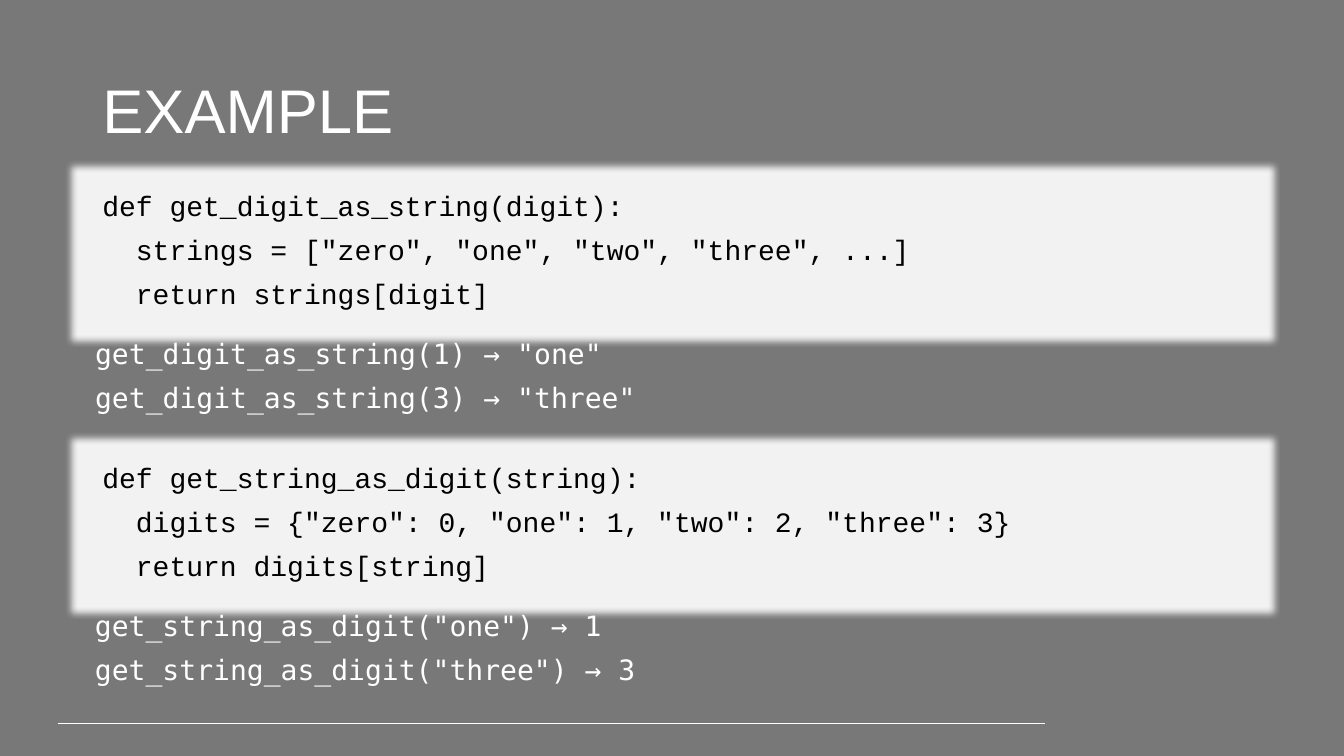
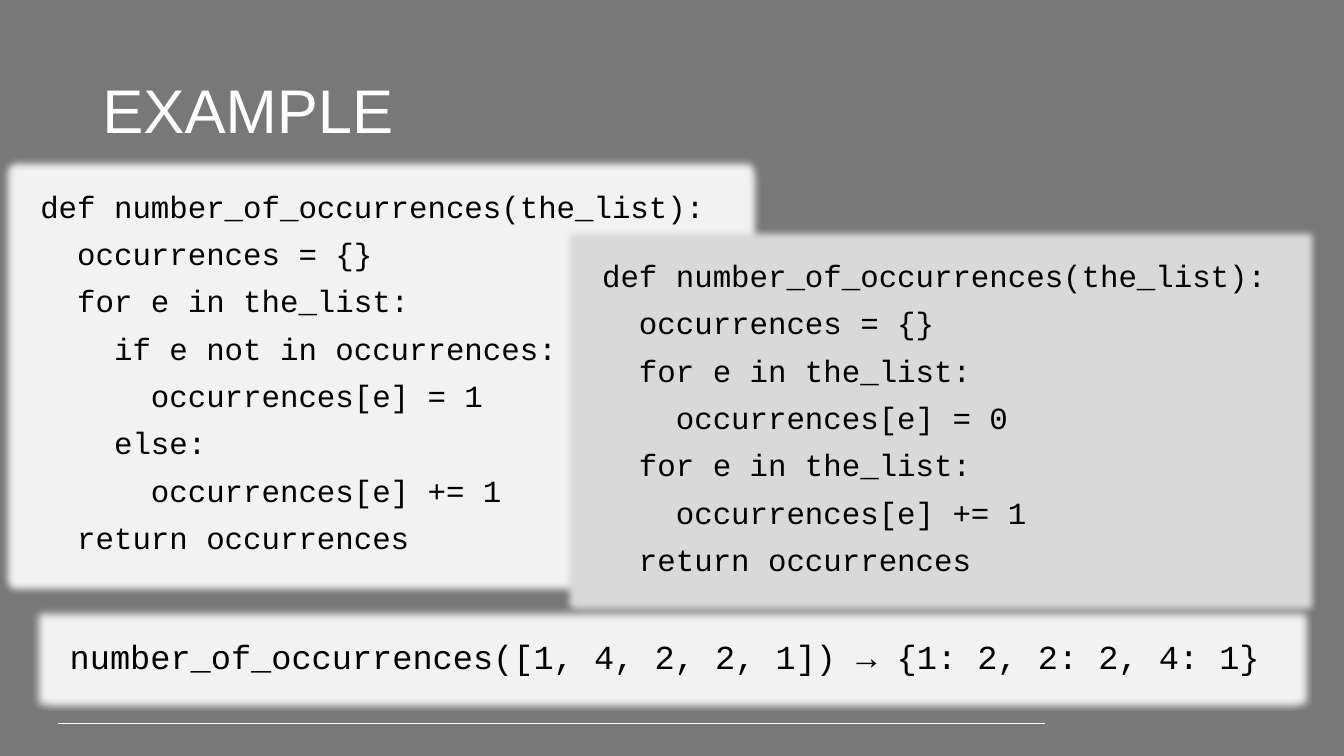
from lxml import etree
from pptx import Presentation
from pptx.dml.color import RGBColor
from pptx.enum.shapes import MSO_CONNECTOR, MSO_SHAPE
from pptx.enum.text import MSO_ANCHOR, MSO_AUTO_SIZE, PP_ALIGN
from pptx.oxml.ns import qn
from pptx.util import Pt

RECTANGLE = MSO_SHAPE.RECTANGLE
STRAIGHT = MSO_CONNECTOR.STRAIGHT
TOP, MIDDLE = MSO_ANCHOR.TOP, MSO_ANCHOR.MIDDLE
LEFT = PP_ALIGN.LEFT
FIXED, GROW = MSO_AUTO_SIZE.NONE, MSO_AUTO_SIZE.SHAPE_TO_FIT_TEXT

PX = 9525  # EMU in one px, 96 px to the inch
WIDTH, HEIGHT = 1280, 720
MARGIN = 88
CONTENT_WIDTH = WIDTH - 2 * MARGIN
CONTENT_TOP = 178
PANEL_HEIGHT = 125
RESULT_GAP = 16
RESULT_HEIGHT = 82
PAIR_HEIGHT = PANEL_HEIGHT + RESULT_GAP + RESULT_HEIGHT
PAIR_STEP = 259
GLOW = 14

GREY, WHITE, BLACK = "787878", "FFFFFF", "000000"
PALE, SILVER = "F2F2F2", "D9D9D9"
TITLE_FONT, CODE_FONT, RESULT_FONT = "Arial", "Courier New", "DejaVu Sans Mono"

LAYOUT_CONTENT, LAYOUT_TITLE = 1, 5

DIGIT_CODE = [
    'def get_digit_as_string(digit):',
    '  strings = ["zero", "one", "two", "three", ...]',
    '  return strings[digit]',
]
DIGIT_RESULTS = [
    'get_digit_as_string(1) → "one"',
    'get_digit_as_string(3) → "three"',
]
STRING_CODE = [
    'def get_string_as_digit(string):',
    '  digits = {"zero": 0, "one": 1, "two": 2, "three": 3}',
    '  return digits[string]',
]
STRING_RESULTS = [
    'get_string_as_digit("one") → 1',
    'get_string_as_digit("three") → 3',
]
COUNT_START = [
    'def number_of_occurrences(the_list):',
    '  occurrences = {}',
    '  for e in the_list:',
]
BRANCHING_CODE = COUNT_START + [
    '    if e not in occurrences:',
    '      occurrences[e] = 1',
    '    else:',
    '      occurrences[e] += 1',
    '  return occurrences',
]
TWO_LOOP_CODE = COUNT_START + [
    '    occurrences[e] = 0',
    '  for e in the_list:',
    '    occurrences[e] += 1',
    '  return occurrences',
]
COUNT_RESULT = ['number_of_occurrences([1, 4, 2, 2, 1]) → {1: 2, 2: 2, 4: 1}']


def color(value):
    return RGBColor.from_string(value)


def emu(box):
    return [length * PX for length in box]


def move(shape, box):
    shape.left, shape.top, shape.width, shape.height = emu(box)


def write(shape, lines, size, font, ink, anchor=TOP, fit=GROW):
    """Fill a shape with left-aligned lines, one paragraph each."""
    frame = shape.text_frame
    frame.word_wrap = True
    frame.auto_size = fit
    frame.vertical_anchor = anchor
    for index, line in enumerate(lines):
        para = frame.add_paragraph() if index else frame.paragraphs[0]
        properties = para._p.get_or_add_pPr()
        properties.set("marL", "0")
        properties.set("indent", "0")
        etree.SubElement(properties, qn("a:buNone"))
        para.alignment = LEFT
        para.line_spacing = 0.9
        para.space_before = Pt(10 if index else 0)
        span = para.add_run()
        span.text = line
        span.font.size = Pt(size)
        span.font.name = font
        span.font.color.rgb = color(ink)


def add_glow(shape, tint):
    """Give a shape a soft edge of its own colour."""
    shape.shadow.inherit = False
    effects = shape.element.spPr.find(qn("a:effectLst"))
    glow = etree.SubElement(effects, qn("a:glow"), rad=str(GLOW * PX))
    etree.SubElement(glow, qn("a:srgbClr"), val=tint)


def add_panel(page, box, lines, size, fill=PALE):
    """Code panel with a glowing edge."""
    panel = page.shapes.add_shape(RECTANGLE, *emu(box))
    panel.fill.solid()
    panel.fill.fore_color.rgb = color(fill)
    panel.line.fill.background()
    add_glow(panel, fill)
    write(panel, lines, size, CODE_FONT, BLACK)


def add_pair(page, box, code, results, holder=None):
    """Code panel with the results of its calls below."""
    left, top, width, height = box
    result_top = top + height - RESULT_HEIGHT
    panel_height = height - RESULT_HEIGHT - RESULT_GAP
    add_panel(page, (left, top, width, panel_height), code, 20)
    result_box = (left - 7, result_top, width + 7, RESULT_HEIGHT)
    if holder is None:
        holder = page.shapes.add_textbox(*emu(result_box))
    else:
        page.shapes.element.append(holder.element)  # in front of the panel
        move(holder, result_box)
    write(holder, results, 20, RESULT_FONT, WHITE)


def add_page(deck, layout):
    page = deck.slides.add_slide(deck.slide_layouts[layout])
    title = page.shapes.title
    move(title, (MARGIN, 39, CONTENT_WIDTH, 139))
    write(title, ["EXAMPLE"], 44, TITLE_FONT, WHITE, MIDDLE, FIXED)
    return page


def style_master(deck, page):
    """Shared background and footer rule; the rule is drawn on a page, then moved."""
    master = deck.slide_master
    master.background.fill.solid()
    master.background.fill.fore_color.rgb = color(GREY)
    rule = page.shapes.add_connector(STRAIGHT, *emu((55, 689, 995, 689)))
    rule.line.color.rgb = color(WHITE)
    rule.line.width = Pt(0.75)
    etree.SubElement(rule.element.spPr, qn("a:effectLst"))
    rule.element.find(".//" + qn("p:cNvPr")).set("id", "20")
    master.shapes.element.append(rule.element)


def build_lookup_page(page):
    pairs = [
        (DIGIT_CODE, DIGIT_RESULTS, page.placeholders[1]),
        (STRING_CODE, STRING_RESULTS, None),
    ]
    for row, (code, results, holder) in enumerate(pairs):
        box = (MARGIN, CONTENT_TOP + row * PAIR_STEP, CONTENT_WIDTH, PAIR_HEIGHT)
        add_pair(page, box, code, results, holder)


def build_counting_page(page):
    add_panel(page, (29, CONTENT_TOP, 668, 361), BRANCHING_CODE, 22)
    add_panel(page, (57, 605, 1164, 44), COUNT_RESULT, 24)
    add_panel(page, (564, 244, 665, 315), TWO_LOOP_CODE, 22, SILVER)


def main():
    deck = Presentation()
    deck.slide_width, deck.slide_height = emu((WIDTH, HEIGHT))
    lookup_page = add_page(deck, LAYOUT_CONTENT)
    style_master(deck, lookup_page)
    build_lookup_page(lookup_page)
    build_counting_page(add_page(deck, LAYOUT_TITLE))
    deck.save("out.pptx")


if __name__ == "__main__":
    main()
